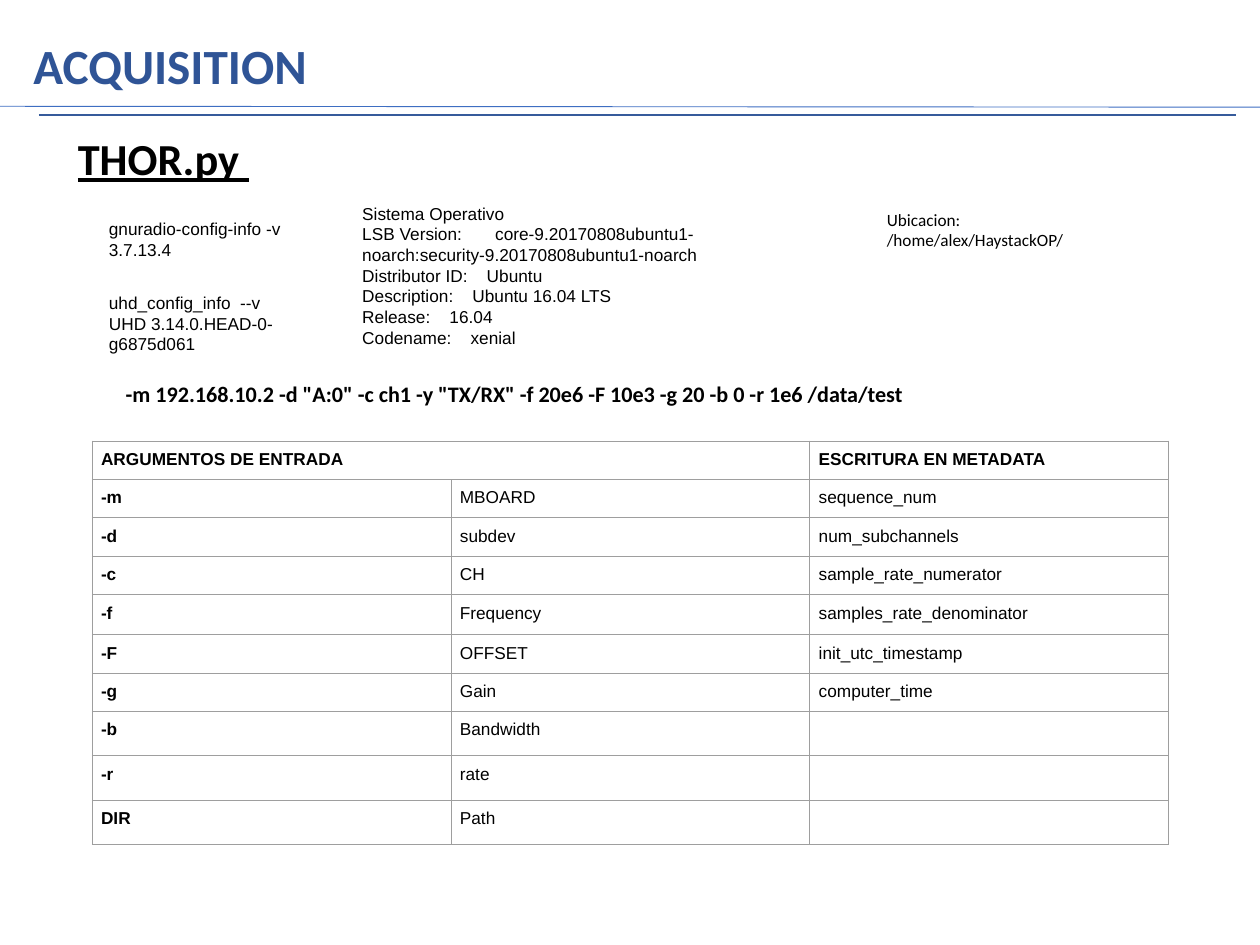
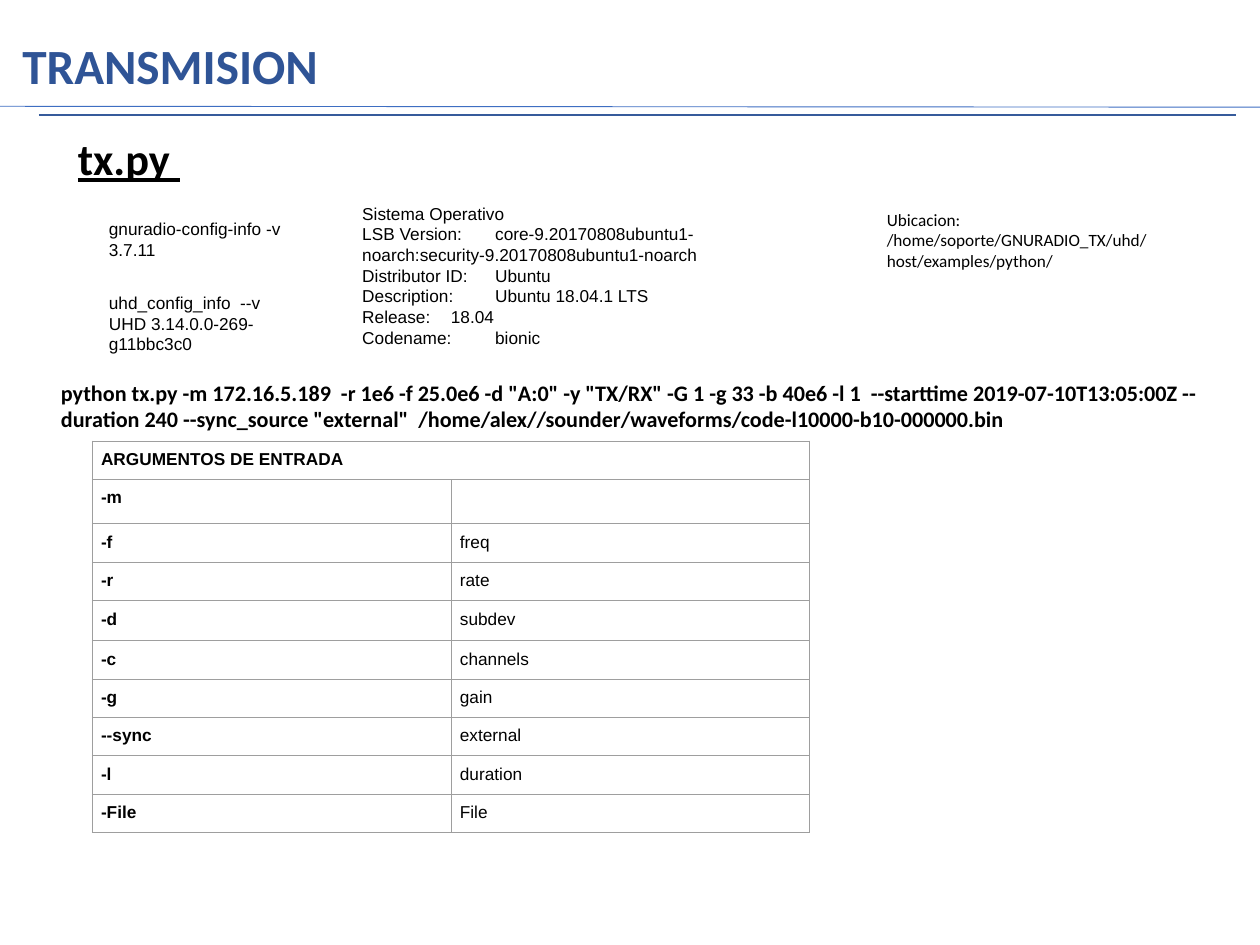
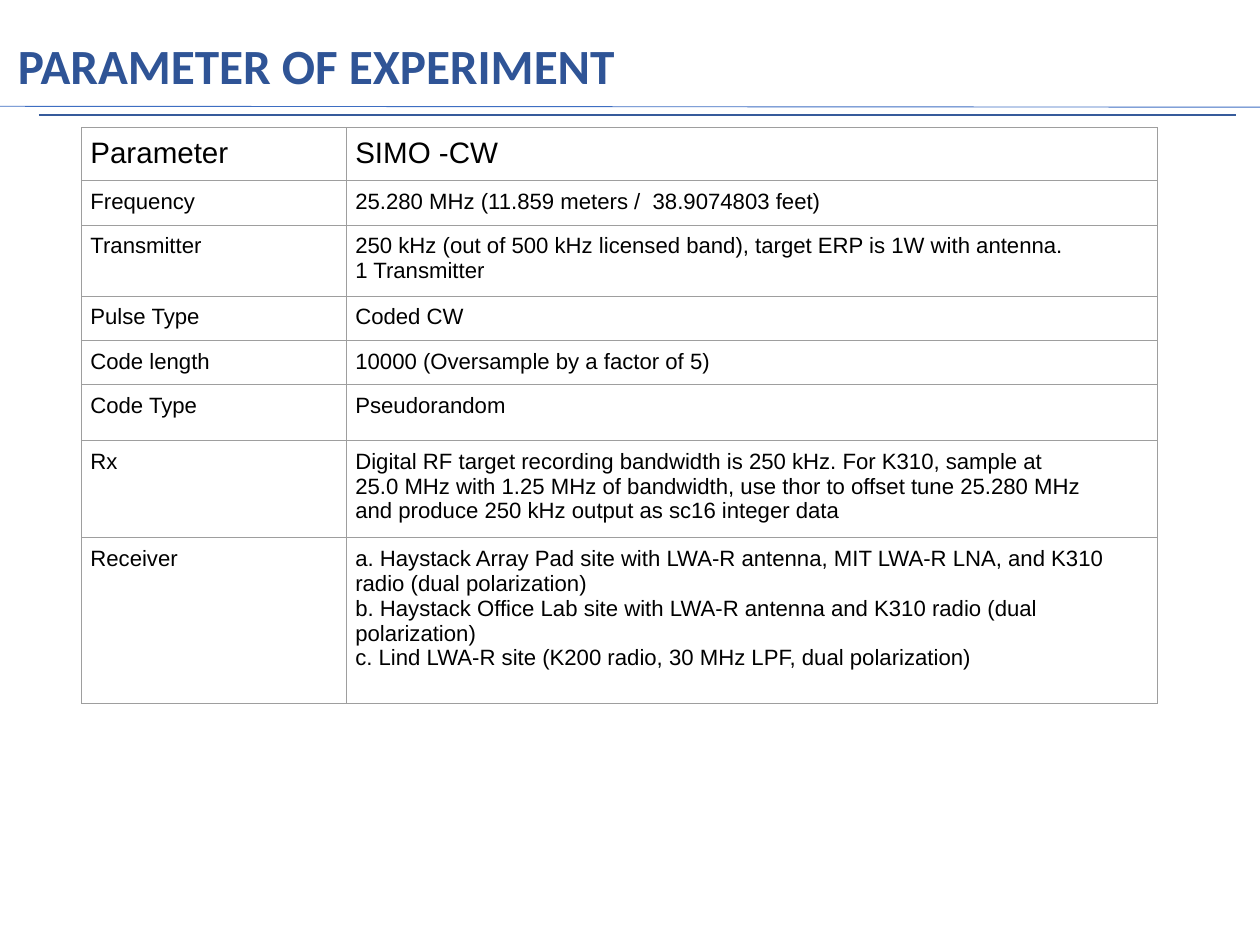
from lxml import etree
from pptx import Presentation
from pptx.dml.color import RGBColor
from pptx.enum import shapes, text
from pptx.oxml.ns import qn
from pptx.util import Inches, Pt

TITLE_BLUE = RGBColor(0x2F, 0x54, 0x96)
RULE_BLUE = RGBColor(0x36, 0x5B, 0x9B)
THIN_BLUE = RGBColor(0x3E, 0x6E, 0xC2)
BORDER_GRAY = RGBColor(0x9E, 0x9E, 0x9E)
BLACK = RGBColor(0, 0, 0)

SLIDE_WIDTH, SLIDE_HEIGHT = 14.22, 10.67
INSET = 0.1
ROW, ROW_MID, ROW_TALL = 0.42, 0.45, 0.48
ARGUMENT_COLUMN = 4.05
TABLE_TOP = 4.98

THOR_ROWS = [
    ("ARGUMENTOS DE ENTRADA", "", "ESCRITURA EN METADATA"),
    ("-m", "MBOARD", "sequence_num"),
    ("-d", "subdev", "num_subchannels"),
    ("-c", "CH", "sample_rate_numerator"),
    ("-f", "Frequency", "samples_rate_denominator"),
    ("-F", "OFFSET", "init_utc_timestamp"),
    ("-g", "Gain", "computer_time"),
    ("-b", "Bandwidth", ""),
    ("-r", "rate", ""),
    ("DIR", "Path", ""),
]
TX_ROWS = [
    ("ARGUMENTOS DE ENTRADA", ""),
    ("-m", ""),
    ("-f", "freq"),
    ("-r", "rate"),
    ("-d", "subdev"),
    ("-c", "channels"),
    ("-g", "gain"),
    ("--sync", "external"),
    ("-l", "duration"),
    ("-File", "File"),
]
EXPERIMENT_ROWS = [
    ("Parameter", "SIMO -CW"),
    ("Frequency", "25.280 MHz (11.859 meters /  38.9074803 feet)"),
    ("Transmitter",
     "250 kHz (out of 500 kHz licensed band), target ERP is 1W with antenna.\n"
     "1 Transmitter"),
    ("Pulse Type", "Coded CW"),
    ("Code length", "10000 (Oversample by a factor of 5)"),
    ("Code Type", "Pseudorandom"),
    ("Rx",
     "Digital RF target recording bandwidth is 250 kHz. For K310, sample at\n"
     "25.0 MHz with 1.25 MHz of bandwidth, use thor to offset tune 25.280 MHz\n"
     "and produce 250 kHz output as sc16 integer data"),
    ("Receiver",
     "a. Haystack Array Pad site with LWA-R antenna, MIT LWA-R LNA, and K310\n"
     "radio (dual polarization)\n"
     "b. Haystack Office Lab site with LWA-R antenna and K310 radio (dual\n"
     "polarization)\n"
     "c. Lind LWA-R site (K200 radio, 30 MHz LPF, dual polarization)"),
]
EXPERIMENT_HEIGHTS = [0.57, ROW_TALL, 0.76, ROW_TALL, ROW_TALL, 0.63, 1.04, 1.87]


def write(frame, words, size, font="Arial", color=BLACK, bold=False,
          underline=False, align=text.PP_ALIGN.LEFT):
    """Fill a text frame, one paragraph per line of words."""
    frame.text = words
    for para in frame.paragraphs:
        para.alignment = align
        for span in para.runs:
            span.font.size = Pt(size)
            span.font.name = font
            span.font.color.rgb = color
            span.font.bold = bold
            span.font.underline = underline


def set_insets(target, inset):
    target.margin_left = target.margin_right = Inches(inset)
    target.margin_top = target.margin_bottom = Inches(inset)


def add_text(page, left, top, width, height, words, size, inset=INSET,
             anchor=text.MSO_ANCHOR.TOP, **style):
    box = page.shapes.add_textbox(Inches(left), Inches(top), Inches(width), Inches(height))
    frame = box.text_frame
    frame.word_wrap = True
    frame.vertical_anchor = anchor
    set_insets(frame, inset)
    write(frame, words, size, **style)


def add_line(page, start, end, color, width):
    ends = [Inches(value) for value in (*start, *end)]
    line = page.shapes.add_connector(shapes.MSO_CONNECTOR.STRAIGHT, *ends)
    line.line.color.rgb = color
    line.line.width = Pt(width)
    etree.SubElement(line._element.spPr, qn("a:effectLst"))


def add_borders(cell):
    properties = cell._tc.get_or_add_tcPr()
    for side in ("a:lnL", "a:lnR", "a:lnT", "a:lnB"):
        edge = etree.SubElement(properties, qn(side), w=str(Pt(0.75)))
        fill = etree.SubElement(edge, qn("a:solidFill"))
        etree.SubElement(fill, qn("a:srgbClr"), val=str(BORDER_GRAY))


def add_grid(page, left, top, widths, heights, rows, size_at, bold_at):
    """Add a plain table; size_at and bold_at give the style for (row, column)."""
    frame = page.shapes.add_table(len(rows), len(widths), Inches(left), Inches(top),
                                  Inches(sum(widths)), Inches(sum(heights)))
    table = frame.table
    table.first_row = table.horz_banding = False
    for column, width in zip(table.columns, widths):
        column.width = Inches(width)
    for r, (height, values) in enumerate(zip(heights, rows)):
        table.rows[r].height = Inches(height)
        for c, value in enumerate(values):
            cell = table.cell(r, c)
            set_insets(cell, INSET)
            add_borders(cell)
            cell.fill.background()
            if value:
                write(cell.text_frame, value, size_at(r, c), bold=bold_at(r, c))
    return table


def add_page(deck, title, title_width=3.78):
    """Add a slide with the shared title and the two rules under it."""
    page = deck.slides.add_slide(deck.slide_layouts[6])
    add_line(page, (0.44, 1.3), (13.95, 1.3), RULE_BLUE, 2)
    add_line(page, (0, 1.2), (SLIDE_WIDTH, 1.21), THIN_BLUE, 0.75)
    add_text(page, 0.03, 0.2, title_width, 1.07, title, 40, inset=0.04,
             anchor=text.MSO_ANCHOR.MIDDLE, font="Calibri", color=TITLE_BLUE,
             bold=True, align=text.PP_ALIGN.CENTER)
    return page


def add_script_page(deck, title, script, gnuradio, uhd, system, location,
                    command, command_box, rows, heights):
    """Add a slide on one script: versions, command line and arguments."""
    page = add_page(deck, title)
    add_text(page, 0.78, 1.38, 11.71, 0.77, script, 36, font="Calibri",
             bold=True, underline=True)
    add_text(page, 3.99, 2.19, 5.3, 1.97,
             "Sistema Operativo\nLSB Version:\tcore-9.20170808ubuntu1-noarch:"
             "security-9.20170808ubuntu1-noarch\n" + system, 14)
    add_text(page, 1.13, 2.37, 2.32, 0.77, "gnuradio-config-info -v\n" + gnuradio, 14)
    add_text(page, 1.13, 3.2, 2.68, 1.01, "uhd_config_info  --v\n" + uhd, 14)
    add_text(page, 9.91, 2.26, 3.53, 1.01, "Ubicacion:\n" + location, 14, font="Calibri")
    add_text(page, *command_box, command, 18, font="Calibri", bold=True)
    table = add_grid(page, 1.04, TABLE_TOP, [ARGUMENT_COLUMN] * len(rows[0]), heights, rows,
                     size_at=lambda r, c: 14, bold_at=lambda r, c: r == 0 or c == 0)
    table.cell(0, 0).merge(table.cell(0, 1))


def main():
    deck = Presentation()
    deck.slide_width, deck.slide_height = Inches(SLIDE_WIDTH), Inches(SLIDE_HEIGHT)

    add_script_page(
        deck, "ACQUISITION", "THOR.py ", "3.7.13.4", "UHD 3.14.0.HEAD-0-g6875d061",
        "Distributor ID:    Ubuntu\nDescription:    Ubuntu 16.04 LTS\n"
        "Release:    16.04\nCodename:    xenial",
        "/home/alex/HaystackOP/",
        '-m 192.168.10.2 -d "A:0" -c ch1 -y "TX/RX" -f 20e6 -F 10e3 -g 20 -b 0 '
        "-r 1e6 /data/test",
        (1.32, 4.2, 11.63, 0.49), THOR_ROWS,
        [ROW] * 4 + [ROW_MID] + [ROW] * 2 + [ROW_TALL] * 3)

    add_script_page(
        deck, "TRANSMISION", "tx.py ", "3.7.11", "UHD 3.14.0.0-269-g11bbc3c0",
        "Distributor ID:\tUbuntu\nDescription:\tUbuntu 18.04.1 LTS\n"
        "Release:\t18.04\nCodename:\tbionic",
        "/home/soporte/GNURADIO_TX/uhd/host/examples/python/",
        'python tx.py -m 172.16.5.189  -r 1e6 -f 25.0e6 -d "A:0" -y "TX/RX" -G 1 '
        "-g 33 -b 40e6 -l 1  --starttime 2019-07-10T13:05:00Z --duration 240 "
        '--sync_source "external"  '
        "/home/alex//sounder/waveforms/code-l10000-b10-000000.bin",
        (0.59, 4.18, 13.63, 0.77), TX_ROWS,
        [ROW, ROW_TALL] + [ROW] * 2 + [ROW_MID] + [ROW] * 5)

    page = add_page(deck, "PARAMETER OF EXPERIMENT", 7.08)
    add_grid(page, 0.92, 1.44, [2.99, 9.15], EXPERIMENT_HEIGHTS, EXPERIMENT_ROWS,
             size_at=lambda r, c: 24 if r == 0 else 18, bold_at=lambda r, c: False)

    deck.save("out.pptx")


if __name__ == "__main__":
    main()
